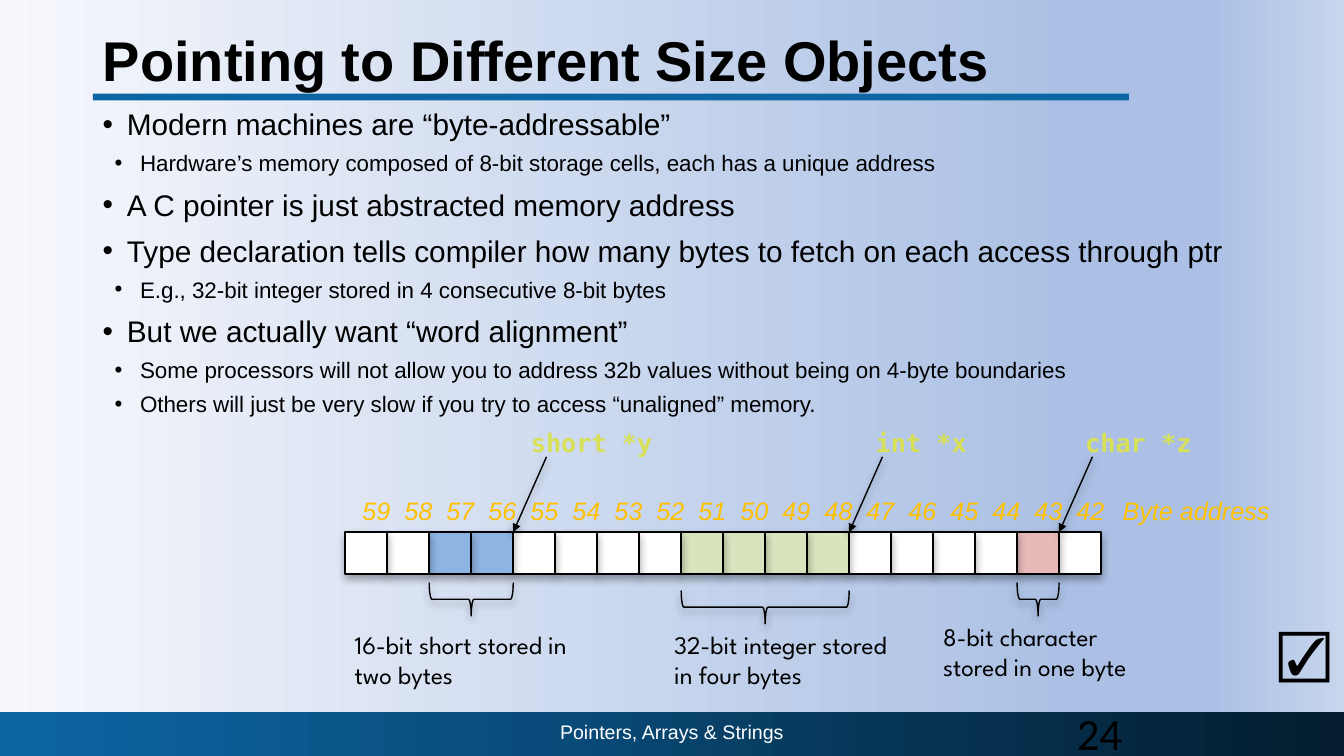
from dataclasses import dataclass
from lxml import etree
from pptx import Presentation
from pptx.dml.color import RGBColor
from pptx.enum.shapes import MSO_CONNECTOR, MSO_SHAPE
from pptx.enum.text import MSO_ANCHOR, MSO_AUTO_SIZE, PP_ALIGN
from pptx.oxml.ns import qn
from pptx.util import Cm, Pt

RECT, BRACE = MSO_SHAPE.RECTANGLE, MSO_SHAPE.LEFT_BRACE
STRAIGHT = MSO_CONNECTOR.STRAIGHT
TOP, MIDDLE = MSO_ANCHOR.TOP, MSO_ANCHOR.MIDDLE
LEFT, CENTER, RIGHT, JUSTIFY = (
    PP_ALIGN.LEFT, PP_ALIGN.CENTER, PP_ALIGN.RIGHT, PP_ALIGN.JUSTIFY)
FIXED = MSO_AUTO_SIZE.NONE

TITLE = "Pointing to Different Size Objects"
POINTS = [
    (0, "Modern machines are “byte-addressable”"),
    (1, "Hardware’s memory composed of 8-bit storage cells, each has a unique address"),
    (0, "A C pointer is just abstracted memory address"),
    (0, "Type declaration tells compiler how many bytes to fetch on each access through ptr"),
    (1, "E.g., 32-bit integer stored in 4 consecutive 8-bit bytes"),
    (0, "But we actually want “word alignment”"),
    (1, "Some processors will not allow you to address 32b values without being on 4-byte boundaries"),
    (1, "Others will just be very slow if you try to access “unaligned” memory."),
]
FIRST, LAST = 59, 42
# declaration, its box (left, width), lowest address, bytes, fill,
# brace top, caption, caption box (left, top, width)
OBJECTS = [
    ("short *y", (13.13, 3.58), 56, 2, "8EB4E3", 14.68,
     "16-bit short stored in two bytes", (8.69, 15.72, 6.71)),
    ("int *x", (21.82, 2.82), 48, 4, "D7E4BD", 14.88,
     "32-bit integer stored in four bytes", (16.74, 15.72, 6.27)),
    ("char *z", (27.1, 3.2), 43, 1, "E6B9B8", 14.68,
     "8-bit character stored in one byte", (23.52, 15.52, 5.99)),
]


@dataclass(frozen=True)
class Theme:
    black: str = "000000"
    white: str = "FFFFFF"
    blue: str = "0C66A4"
    gold: str = "FFC000"
    lime: str = "D8E156"
    back: tuple = ((0, "F6F8FC"), (80, "ABC0E4"), (90, "ABC0E4"), (100, "C7D5ED"))
    band: tuple = ((0, "0C66A4"), (40, "094C7B"), (69, "063352"), (100, "031D2F"))

    def font(self, kind):
        """Return the colour and the font attributes of a kind of text."""
        name, size, color, extra = {
            "title": ("Arial", 40, self.black, {"bold": True}),
            "point": ("Arial", 21.3, self.black, {}),
            "detail": ("Arial", 16, self.black, {}),
            "code": ("DejaVu Sans Mono", 18, self.lime, {"bold": True}),
            "byte": ("Arial", 18, self.gold, {"italic": True}),
            "caption": ("League Spartan", 18, self.black, {}),
            "check": ("Arial", 37.3, self.black, {}),
            "footer": ("Arial", 14, self.white, {}),
            "number": ("Calibri", 32, self.black, {}),
        }[kind]
        return color, {"name": name, "size": Pt(size), **extra}


THEME = Theme()
WIDTH, HEIGHT = 33.87, 19.05
ROW_X, ROW_Y, ROW_W = 8.7, 13.41, 19.05
CELL = ROW_W / (FIRST - LAST + 1)
BYTE_Y, CODE_Y, ARROW_Y = 12.34, 10.64, 11.51
SLANT, DEPTH, LINE_H = 0.84, 0.84, 1.02


def edge(address):
    """Return the left side of the cell with this address."""
    return ROW_X + (FIRST - address) * CELL


def assign(target, values):
    for name, value in values.items():
        setattr(target, name, value)


def write(para, text, kind):
    run = para.add_run()
    run.text = text
    color, values = THEME.font(kind)
    assign(run.font, values)
    run.font.color.rgb = RGBColor.from_string(color)


def add_text(slide, text, kind, box, align=LEFT, inset=(0.25, 0.13), wrap=True, anchor=TOP):
    frame = slide.shapes.add_textbox(*map(Cm, box)).text_frame
    side, top = map(Cm, inset)
    assign(frame, {
        "word_wrap": wrap, "auto_size": FIXED, "vertical_anchor": anchor,
        "margin_left": side, "margin_right": side,
        "margin_top": top, "margin_bottom": top})
    para = frame.paragraphs[0]
    para.alignment = align
    if text:
        write(para, text, kind)
    return frame


def add_plain(slide, box):
    shape = slide.shapes.add_shape(RECT, *map(Cm, box))
    shape.shadow.inherit = False
    shape.line.fill.background()
    return shape


def blend(fill, element, stops):
    """Set a left-to-right gradient on a fill held by the element."""
    fill.gradient()
    fill.gradient_angle = 0
    items = element.xpath(".//a:gsLst")[0]
    for old in list(items):
        items.remove(old)
    for place, color in stops:
        stop = etree.SubElement(items, qn("a:gs"), pos=str(place * 1000))
        etree.SubElement(stop, qn("a:srgbClr"), val=color)


def outline(shape, alpha):
    """Give a thin black line and a soft shadow below it."""
    shape.line.width = Pt(1)
    shape.line.color.rgb = RGBColor.from_string(THEME.black)
    effects = etree.SubElement(shape.element.spPr, qn("a:effectLst"))
    shade = etree.SubElement(effects, qn("a:outerShdw"), blurRad=str(Pt(6)),
                             dist=str(Pt(3)), dir="5400000", rotWithShape="0")
    color = etree.SubElement(shade, qn("a:srgbClr"), val=THEME.black)
    etree.SubElement(color, qn("a:alpha"), val=str(alpha * 1000))


def add_points(slide):
    frame = add_text(slide, "", "point", (2.34, 2.49, 29.21, 8))
    levels = [("point", 0.61, -0.61, 6), ("detail", 0.94, -0.64, 4)]
    for index, (level, text) in enumerate(POINTS):
        para = frame.add_paragraph() if index else frame.paragraphs[0]
        kind, margin, indent, before = levels[level]
        assign(para, {"level": level, "alignment": JUSTIFY,
                      "space_before": Pt(before), "line_spacing": 1.06})
        props = para._p.get_or_add_pPr()
        props.set("marL", str(Cm(margin)))
        props.set("indent", str(Cm(indent)))
        etree.SubElement(props, qn("a:buFont"), typeface="Arial")
        etree.SubElement(props, qn("a:buChar"), char="•")
        write(para, text, kind)


def add_row(slide):
    fills = {low + step: color for _, _, low, count, color, *_ in OBJECTS
             for step in range(count)}
    for address in range(LAST, FIRST + 1):
        left = edge(address)
        cell = slide.shapes.add_shape(RECT, *map(Cm, (left, ROW_Y, CELL, CELL)))
        cell.fill.solid()
        cell.fill.fore_color.rgb = RGBColor.from_string(fills.get(address, THEME.white))
        outline(cell, 35)
        add_text(slide, str(address), "byte", (left, BYTE_Y, 1.27, LINE_H), RIGHT, (0.13, 0.13))
    add_text(slide, "Byte address", "byte", (28.04, BYTE_Y, 4.24, LINE_H), wrap=False)


def add_object(slide, code, label, low, count, _, top, caption, note):
    tip, span = edge(low - 1), count * CELL
    arrow = slide.shapes.add_connector(
        STRAIGHT, *map(Cm, (tip + SLANT, ARROW_Y, tip, ROW_Y)))
    outline(arrow, 38)
    etree.SubElement(arrow.element.xpath(".//a:ln")[0], qn("a:tailEnd"), type="triangle")
    left, width = label
    add_text(slide, code, "code", (left, CODE_Y, width, LINE_H), wrap=False)
    # The upright box is turned about its centre to lie under the bytes.
    box = (tip - (span + DEPTH) / 2, top + (DEPTH - span) / 2, DEPTH, span)
    brace = slide.shapes.add_shape(BRACE, *map(Cm, box))
    brace.rotation = 270
    brace.fill.background()
    outline(brace, 38)
    add_text(slide, caption, "caption", (*note, 1.8))


def main():
    deck = Presentation()
    assign(deck, {"slide_width": Cm(WIDTH), "slide_height": Cm(HEIGHT)})
    slide = deck.slides.add_slide(deck.slide_layouts[5])
    blend(slide.background.fill, slide.element, THEME.back)

    band = add_plain(slide, (0, 17.93, WIDTH, 1.12))
    blend(band.fill, band.element, THEME.band)
    rule = add_plain(slide, (2.34, 2.36, 26.11, 0.17))
    rule.fill.solid()
    rule.fill.fore_color.rgb = RGBColor.from_string(THEME.blue)

    title = slide.shapes.title
    assign(title, {"left": Cm(2.34), "top": Cm(0.3), "width": Cm(29.21), "height": Cm(2.57)})
    assign(title.text_frame, {"auto_size": FIXED, "vertical_anchor": MIDDLE})
    para = title.text_frame.paragraphs[0]
    assign(para, {"alignment": LEFT, "line_spacing": 0.9})
    write(para, TITLE, "title")

    add_points(slide)
    add_row(slide)
    for item in OBJECTS:
        add_object(slide, *item)
    add_text(slide, "☑", "check", (31.88, 15.44, 1.98, 1.93), CENTER, (0, 0.18))
    add_text(slide, "Pointers, Arrays & Strings", "footer",
             (11.22, 17.93, 11.43, LINE_H), CENTER, anchor=MIDDLE)
    add_text(slide, "24", "number", (23.9, 17.96, 7.62, LINE_H), CENTER,
             (0.25, 0.25), False, MIDDLE)
    deck.save("out.pptx")


if __name__ == "__main__":
    main()
